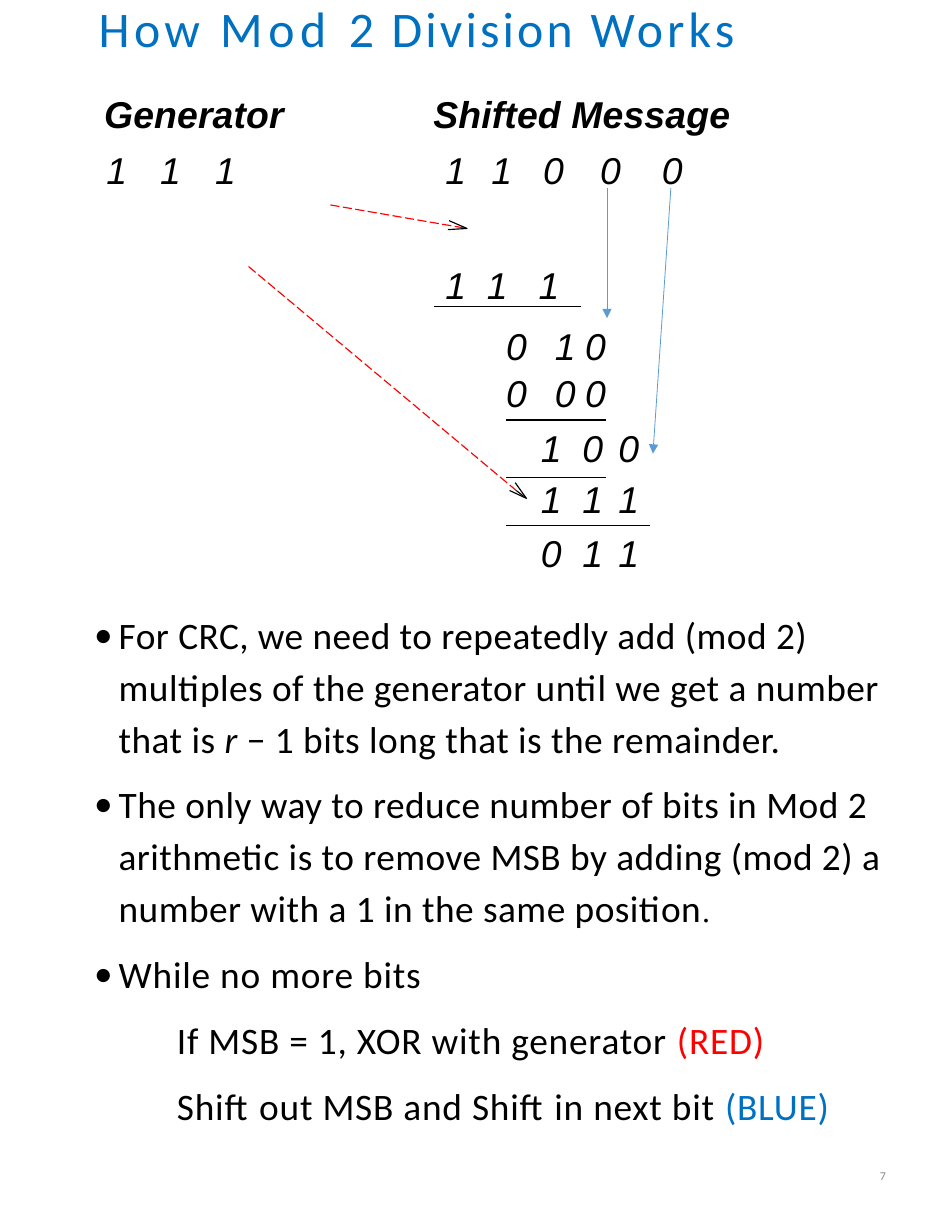
from pptx import Presentation
from pptx.dml.color import RGBColor
from pptx.enum import dml, shapes, text
from pptx.oxml import ns, xmlchemy as xc
from pptx.util import Inches, Pt
from lxml import etree

C = {"title": "0070C0", "ink": "000000", "red": "FF0000",
     "arrow": "5B9BD5", "page": "8C8C8C"}
LEFT, CENTER, RIGHT = (text.PP_ALIGN.LEFT, text.PP_ALIGN.CENTER,
                       text.PP_ALIGN.RIGHT)


def sub(parent, tag, **attrs):
    return etree.SubElement(parent, ns.qn("a:" + tag), attrs)


def write(p, words, size=24, font="Calibri", color="ink", spc=0,
          bold=False, italic=False):
    r = p.add_run()
    r.text = words
    r.font.size, r.font.name = Pt(size), font
    r.font.bold, r.font.italic = bold, italic
    r.font.color.rgb = RGBColor.from_string(C[color])
    if spc:
        r._r.get_or_add_rPr().set("spc", str(round(spc * 100)))


prs = Presentation()
prs.slide_width, prs.slide_height = Inches(8.5), Inches(11)
s = prs.slides.add_slide(prs.slide_layouts[5])

# Text frames: title, two headings, body, page number
title = s.shapes.title
title.left, title.top = Inches(0.61), Inches(-0.02)
title.width, title.height = Inches(6.22), Inches(0.56)
frames = [title.text_frame]
for x, y, w, h in [(0.93, 0.81, 2, 0.4), (3.87, 0.81, 3, 0.4),
                   (0.83, 5.4, 7.37, 4.9), (6, 10.2, 1.91, 0.59)]:
    box = s.shapes.add_textbox(Inches(x), Inches(y), Inches(w), Inches(h))
    frames.append(box.text_frame)
for tf in frames:
    tf.word_wrap = True
    tf.auto_size = text.MSO_AUTO_SIZE.NONE
    tf.vertical_anchor = text.MSO_ANCHOR.TOP
    tf.margin_left = tf.margin_right = tf.margin_top = tf.margin_bottom = 0
title_tf, generator_tf, message_tf, body_tf, page_tf = frames

p = title_tf.paragraphs[0]
p.alignment = CENTER
for words, spc in [("How ", 2.8), ("Mod ", 3.6), ("2 Division ", 2),
                   ("Works", 2.6)]:
    write(p, words, size=32, color="title", spc=spc)
for tf, words in [(generator_tf, "Generator"), (message_tf, "Shifted Message")]:
    write(tf.paragraphs[0], words, font="Arial", spc=0.1, bold=True, italic=True)
page_tf.vertical_anchor = text.MSO_ANCHOR.MIDDLE
page_tf.paragraphs[0].alignment = RIGHT
write(page_tf.paragraphs[0], "7", size=7.7, color="page")

# Body: three bullets and two indented steps
body = [
    (True, [("For CRC, we need to repeatedly add (mod 2) multiples of the "
             "generator until we get a number that is ", {}),
            ("r ", {"italic": True}),
            ("− 1 bits long that is the remainder.", {})]),
    (True, [("The only way to reduce number of bits in Mod 2 arithmetic is to "
             "remove MSB by adding (mod 2) a number with a 1 in the same "
             "position", {}),
            (".", {"size": 20.5, "font": "Times New Roman"})]),
    (True, [("While no more bits", {"spc": 0.5})]),
    (False, [("If MSB = 1, XOR with generator ", {"spc": 0.5}),
             ("(RED)", {"spc": 0.5, "color": "red"})]),
    (False, [("Shift out MSB and Shift in next bit ", {"spc": 0.5}),
             ("(BLUE)", {"spc": 0.5, "color": "title"})]),
]
for i, (bullet, runs) in enumerate(body):
    p = body_tf.paragraphs[0] if i == 0 else body_tf.add_paragraph()
    pPr = p._p.get_or_add_pPr()
    pPr.set("marL", str(Inches(0.23 if bullet else 0.75)))
    if bullet:
        pPr.set("indent", str(Inches(-0.22)))
        sub(sub(pPr, "buFont", typeface="Calibri").getparent(), "buChar", char="•")
    p.line_spacing = 1.16
    if i:
        p.space_before = Pt(8.9)
    for words, fmt in runs:
        write(p, words, **{"spc": 0.3, **fmt})

# Division tables; a cell is (text, alignment, left indent, tab stop)
operands = {
    "at": (0.92, 1.35), "cols": [0.42, 0.49, 2.05, 0.75, 0.56, 0.72, 0.29],
    "rows": [(1.01, 26.6, 0), (0.37, 27.4, 0)],
    "cells": [[("1", LEFT, 0.03), ("1", LEFT, 0.09), ("1", LEFT, 0.09),
               ("1\t1", CENTER, 0.04, 0.41), ("0", LEFT, 0.22),
               ("0", LEFT, 0.17), ("0", LEFT, 0)],
              [None, None, None, ("1\t1", CENTER, 0, 0.37), ("1", LEFT, 0.18),
               None, None]],
    "rules": {1: (3, 4)},
}
steps = {
    "at": (4.52, 2.92), "cols": [0.25, 0.37, 0.27, 0.39],
    "rows": [(0.4, 26.6, 0), (0.43, 28.2, 0), (0.51, None, 5.8),
             (0.43, 28.2, 0), (0.49, None, 5.8)],
    "cells": [[(d[0], LEFT, 0), (d[1], RIGHT, 0), (d[2], RIGHT, 0), None]
              if n < 2 else
              [None, (d[0], LEFT, 0.06), (d[1], LEFT, 0.06), (d[2], CENTER, 0.02)]
              for n, d in enumerate(["010", "000", "100", "111", "011"])],
    "rules": {1: (0, 1, 2), 2: (0, 1, 2), 3: (1, 2, 3)},
}


# Red dashed arrows with open black heads, behind the tables
def add_line(x1, y1, x2, y2, color, width, dashed=False, head=False):
    c = s.shapes.add_connector(shapes.MSO_CONNECTOR.STRAIGHT, Inches(x1),
                               Inches(y1), Inches(x2), Inches(y2))
    c.line.color.rgb = RGBColor.from_string(C[color])
    c.line.width = Pt(width)
    if dashed:
        c.line.dash_style = dml.MSO_LINE.LONG_DASH
    if head:
        sub(c.line._get_or_add_ln(), "tailEnd", type="triangle")
    sub(c._element.spPr, "effectLst")


add_line(2.95, 1.83, 4.17, 2.04, "red", 0.75, dashed=True)
add_line(2.22, 2.38, 4.61, 4.38, "red", 0.75, dashed=True)
add_line(4.61, 4.38, 4.7, 4.45, "ink", 0.75, dashed=True)
for start, tip, end in [((4.01, 1.97), (4.17, 2.04), (4, 2.05)),
                        ((4.6, 4.31), (4.7, 4.45), (4.55, 4.38))]:
    fb = s.shapes.build_freeform(*map(Inches, start))
    fb.add_line_segments([tuple(map(Inches, q)) for q in (tip, end)], close=False)
    sp = fb.convert_to_shape()
    sp.shadow.inherit = False
    sp.fill.background()
    sp.line.color.rgb = RGBColor.from_string(C["ink"])
    sp.line.width = Pt(0.75)

for spec_ in (operands, steps):
    x, y = spec_["at"]
    cols, rows = spec_["cols"], spec_["rows"]
    frame = s.shapes.add_table(len(rows), len(cols), Inches(x), Inches(y),
                               Inches(sum(cols)), Inches(sum(r[0] for r in rows)))
    table = frame.table
    table.first_row = table.horz_banding = False
    style = table._tbl.tblPr.find(ns.qn("a:tableStyleId"))
    style.text = "{2D5ABB26-0587-4C30-8999-92F81FD0307C}"
    for col, w in zip(table.columns, cols):
        col.width = Inches(w)
    for i, (height, spacing, before) in enumerate(rows):
        table.rows[i].height = Inches(height)
        for j, item in enumerate(spec_["cells"][i]):
            cell = table.cell(i, j)
            cell.margin_left = cell.margin_right = cell.margin_bottom = 0
            cell.margin_top = Inches(0.08 if before else 0)
            # Rules go on both cells that share the edge
            tcPr = cell._tc.get_or_add_tcPr()
            for tag, row in (("lnT", i - 1), ("lnB", i)):
                if j in spec_["rules"].get(row, ()):
                    ln = sub(tcPr, tag, w=str(Pt(0.75)))
                    sub(sub(ln, "solidFill"), "srgbClr", val=C["ink"])
            cell.fill.background()
            if item is None:
                continue
            digits, align, indent, *tab = item
            p = cell.text_frame.paragraphs[0]
            pPr = p._p.get_or_add_pPr()
            pPr.set("marL", str(Inches(indent)))
            for stop in tab:
                sub(sub(pPr, "tabLst"), "tab", pos=str(Inches(stop)), algn="l")
            p.alignment = align
            if spacing:
                p.line_spacing = Pt(spacing)
            if before:
                p.space_before = Pt(before)
            write(p, digits, font="Arial", italic=True)
    if spec_ is steps:
        table.cell(0, 3).merge(table.cell(1, 3))

# Blue arrows: bits shifted in
add_line(5.99, 1.68, 5.83, 4.05, "arrow", 0.5, head=True)
add_line(5.42, 1.68, 5.42, 2.84, "arrow", 0.5, head=True)

prs.save("out.pptx")
